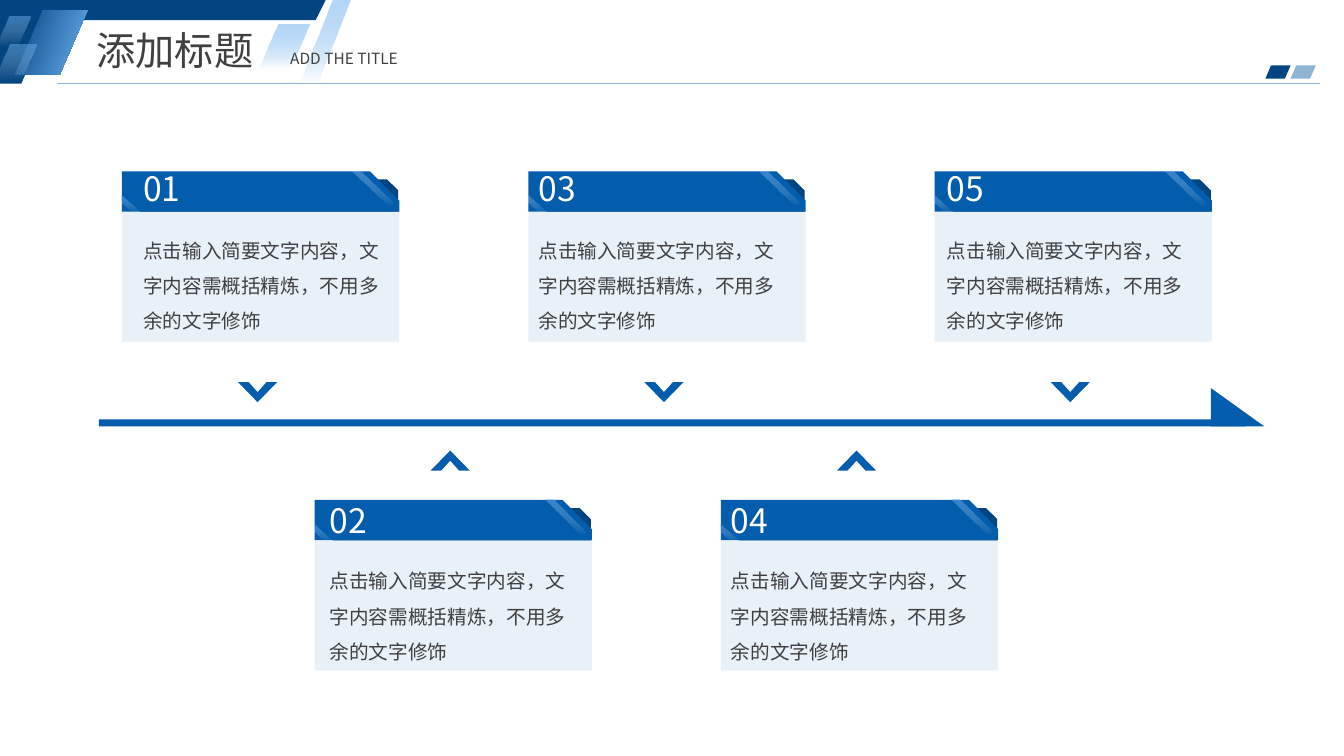
import pptx
import pptx.dml.color
import pptx.enum.shapes
import pptx.enum.text
import pptx.oxml.ns
import pptx.util
from lxml import etree

# Content: number, text inset from the card, text width
NOTE = "点击输入简要文字内容，文字内容需概括精炼，不用多余的文字修饰"
TITLE = "添加标题"
SUB = "ADD THE TITLE"
UPPER = [("01", 0.21, 2.38), ("03", 0.1, 2.49), ("05", 0.12, 2.49)]
LOWER = [("02", 0.15, 2.38), ("04", 0.1, 2.49)]

# Rows: cards, left and top of the first card, number and note drop,
# chevron base and direction
ROWS = [
    (UPPER, 1.21, 1.7, -0.03, 0.55, 3.79, 1),
    (LOWER, 3.12, 4.96, 0, 0.57, 4.67, -1),
]
STEP = 4.03
CARD = 2.75
HEAD = 0.4
BODY = 1.29
MID = 1.345

# Outlines, measured from the top left corner of a card
BACK = [(0.18, 0.08), (2.63, 0.08), (2.74, 0.19), (2.74, 0.48), (0.18, 0.48)]
FRONT = [(0, 0), (2.46, 0), (CARD, 0.29), (CARD, HEAD), (0, HEAD)]
SHINE = [(2.29, 0), (2.37, 0), (2.69, 0.31), (2.65, 0.35)]
GLINT = [(0, 0.24), (0.18, HEAD), (0.1, HEAD), (0, 0.31)]
# Chevron, measured from the middle of its base
MARK = [(-0.195, 0), (-0.09, 0), (0, 0.1), (0.09, 0), (0.195, 0), (0, 0.2)]

RGB = pptx.dml.color.RGBColor
NAVY = RGB(0x03, 0x45, 0x81)
BLUE = RGB(0x03, 0x5C, 0xAC)
SKY = RGB(0x6C, 0xAF, 0xEF)
STEEL = RGB(0x8E, 0xB3, 0xD3)
PALE = RGB(0xE8, 0xF0, 0xF8)
GREY = RGB(0x40, 0x40, 0x40)
WHITE = RGB(0xFF, 0xFF, 0xFF)
FONT = "Noto Sans CJK SC"

# Gradients: angle, then colour and opacity of each end
DEEP = (20, (NAVY, 100), (SKY, 100))
FADE = (90, (SKY, 50), (WHITE, 100))
CLEAR = (90, (SKY, 50), (WHITE, 0))

# Slanted bars of the header: left, top, width, height, slant, paint
BAR = [
    (2.56, 0.24, 0.51, 0.45, 0.432, FADE),
    (2.97, 0, 0.51, 0.83, 0.648, FADE),
    (-0.06, 0.44, 0.42, 0.37, 0.432, CLEAR),
    (-0.03, 0.16, 0.33, 0.29, 0.432, CLEAR),
    (12.55, 0.65, 0.25, 0.13, 0.432, NAVY),
    (12.8, 0.65, 0.25, 0.13, 0.432, STEEL),
]

KIND = pptx.enum.shapes.MSO_SHAPE
ALIGN = pptx.enum.text.PP_ALIGN
inch = pptx.util.Inches
qn = pptx.oxml.ns.qn

deck = pptx.Presentation()
deck.slide_width = inch(13.33)
deck.slide_height = inch(7.5)
slide = deck.slides.add_slide(deck.slide_layouts[6])
shapes = slide.shapes


def paint(shape, look):
    """Fill with a plain colour or a gradient; no line, no shadow."""
    shape.shadow.inherit = False
    shape.line.fill.background()
    if isinstance(look, RGB):
        shape.fill.solid()
        shape.fill.fore_color.rgb = look
        return
    angle, *ends = look
    shape.fill.gradient()
    shape.fill.gradient_angle = 360 - angle
    for stop, (tone, _) in zip(shape.fill.gradient_stops, ends):
        stop.color.rgb = tone
    tones = shape._element.spPr.iter(qn("a:srgbClr"))
    for tone, (_, share) in zip(list(tones), ends):
        if share < 100:
            etree.SubElement(tone, qn("a:alpha")).set("val", str(share * 1000))


def block(kind, x, y, w, h, look, adj=None):
    shape = shapes.add_shape(kind, inch(x), inch(y), inch(w), inch(h))
    if adj is not None:
        shape.adjustments[0] = adj
    paint(shape, look)


def slant(x, y, w, h, adj, look):
    block(KIND.PARALLELOGRAM, x, y, w, h, look, adj)


def outline(dots, x, y, look, flip=1):
    dots = [(inch(x + a), inch(y + b * flip)) for a, b in dots]
    pen = shapes.build_freeform(*dots[0])
    pen.add_line_segments(dots[1:], close=True)
    paint(pen.convert_to_shape(), look)


def write(text, x, y, w, h, size, tone=GREY, inset=True, align=None, gap=None):
    box = shapes.add_textbox(inch(x), inch(y), inch(w), inch(h))
    frame = box.text_frame
    frame.word_wrap = True
    frame.auto_size = pptx.enum.text.MSO_AUTO_SIZE.SHAPE_TO_FIT_TEXT
    if not inset:
        frame.margin_left = frame.margin_right = 0
        frame.margin_top = frame.margin_bottom = 0
    para = frame.paragraphs[0]
    para.alignment = align
    para.line_spacing = gap
    run = para.add_run()
    run.text = text
    run.font.size = pptx.util.Pt(size)
    run.font.name = FONT
    run.font.color.rgb = tone
    east = etree.SubElement(run.font._element, qn("a:ea"))
    east.set("typeface", FONT)


# Header
slant(-0.38, 0, 0.95, 0.83, 0.432, NAVY)
outline([(0, 0), (2.85, 0), (2.75, 0.2), (0, 0.2)], 0.38, 0, NAVY)
slant(0.15, 0.1, 0.72, 0.64, 0.432, DEEP)
for bar in BAR:
    slant(*bar)
rule = shapes.add_connector(
    pptx.enum.shapes.MSO_CONNECTOR.STRAIGHT,
    inch(0.57), inch(0.83), inch(13.09), inch(0.83))
rule.line.color.rgb = STEEL
rule.line.width = pptx.util.Pt(1)
etree.SubElement(rule._element.spPr, qn("a:effectLst"))
write(TITLE, 0.86, 0.21, 1.95, 0.57, 28, align=ALIGN.JUSTIFY)
write(SUB, 2.78, 0.44, 1.95, 0.29, 11, align=ALIGN.JUSTIFY)

# Time arrow
block(KIND.RECTANGLE, 0.98, 4.16, 11.37, 0.07, BLUE)
block(KIND.ISOSCELES_TRIANGLE, 12.01, 3.85, 0.53, 0.38, BLUE, 0)

# Cards, chevrons and their text
for cards, left, top, rise, drop, base, flip in ROWS:
    for i, (num, inset, wide) in enumerate(cards):
        x = left + i * STEP
        outline(BACK, x, top, NAVY)
        block(KIND.RECTANGLE, x, top + HEAD, CARD, BODY, PALE)
        outline(FRONT, x, top, BLUE)
        outline(SHINE, x, top, CLEAR)
        outline(GLINT, x, top, CLEAR)
        outline(MARK, x + MID, base, BLUE, flip)
        write(NOTE, x + inset, top + drop, wide, 1.01, 14, inset=False, gap=1.5)
        write(num, x + inset, top + rise, 0.65, 0.4, 24, WHITE, inset=False)

deck.save("out.pptx")
